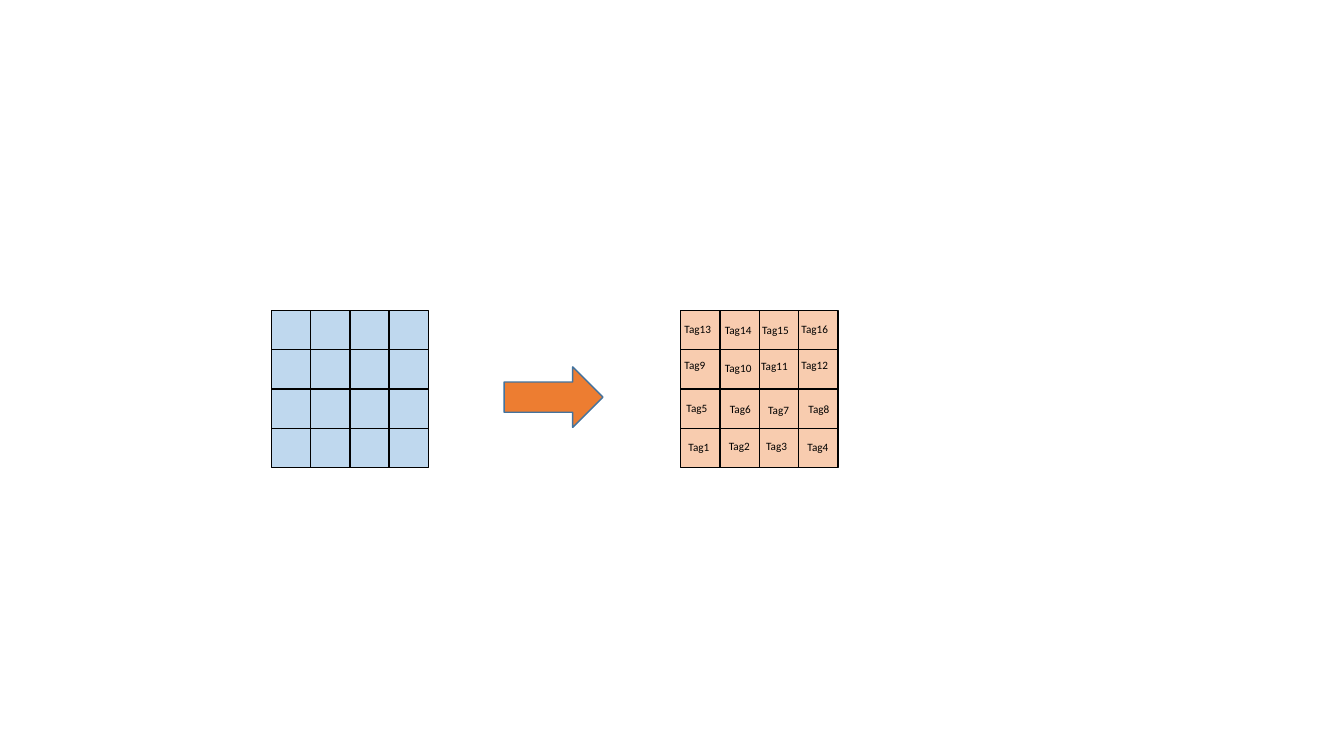
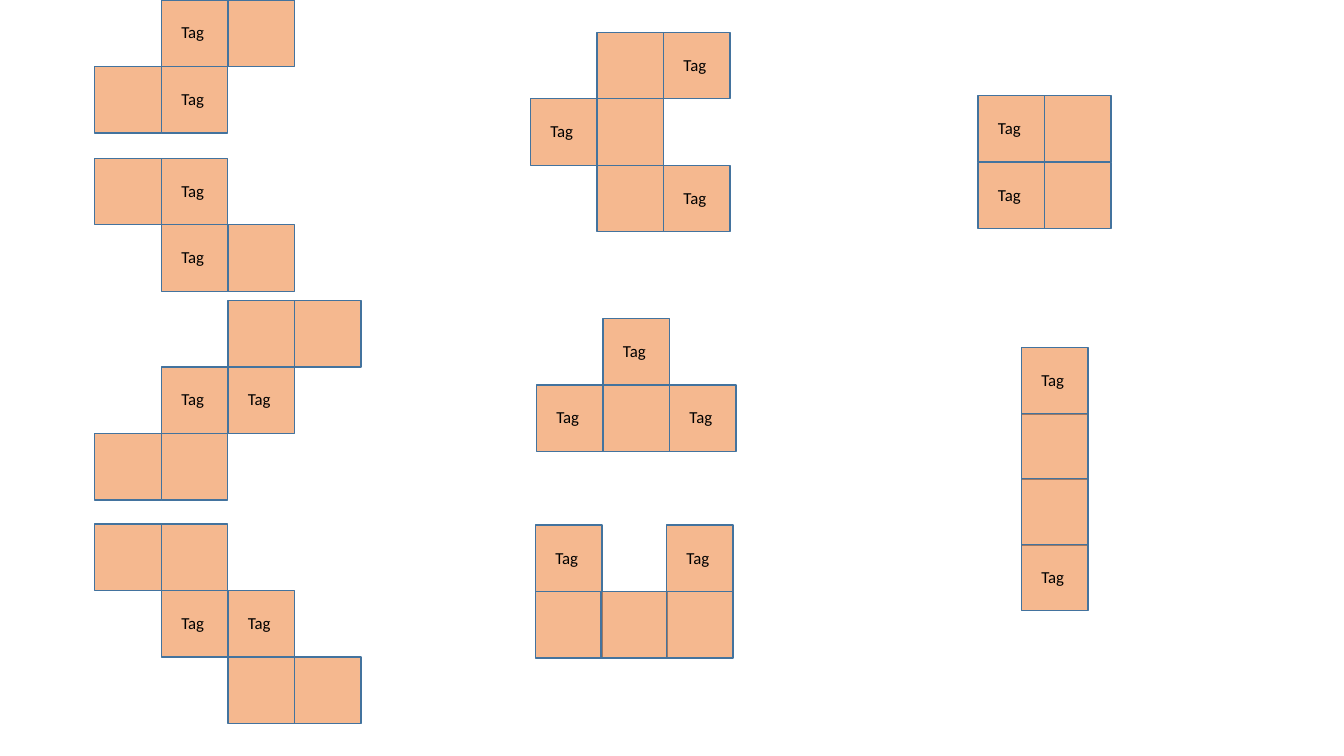
from dataclasses import dataclass

from lxml import etree
from pptx import Presentation
from pptx.dml.color import RGBColor
from pptx.enum.shapes import MSO_SHAPE
from pptx.enum.text import MSO_AUTO_SIZE, PP_ALIGN
from pptx.oxml.ns import qn
from pptx.util import Inches, Pt

RECTANGLE = MSO_SHAPE.RECTANGLE
RIGHT_ARROW = MSO_SHAPE.RIGHT_ARROW
FIT_TEXT = MSO_AUTO_SIZE.SHAPE_TO_FIT_TEXT
LEFT = PP_ALIGN.LEFT

FONT = "Calibri"
BLACK = "000000"
BLUE = "5B9BD5"
ORANGE = "ED7D31"
OUTLINE = "43739E"

GRID_SIZE = 4
GRID_CELL = 0.39
GRID_TOP = 3.08
BLUE_GRID_LEFT = 2.69
TAG_GRID_LEFT = 6.75
GRID_OPACITY = 39
TILE = 0.66
TILE_OPACITY = 54


@dataclass(frozen=True)
class Box:
    left: float
    top: float
    width: float
    height: float


@dataclass(frozen=True)
class Piece:
    left: float
    top: float
    rows: tuple[str, ...]
    column_step: float = TILE
    row_step: float = TILE


TAG_POSITIONS = (
    (6.73, 4.32), (7.13, 4.31), (7.50, 4.31), (7.91, 4.32),
    (6.71, 3.93), (7.14, 3.94), (7.52, 3.95), (7.92, 3.94),
    (6.69, 3.51), (7.09, 3.54), (7.45, 3.52), (7.85, 3.51),
    (6.69, 3.15), (7.09, 3.16), (7.46, 3.16), (7.85, 3.15),
)

PIECES = (
    Piece(0.94, 0, (".T#", "#T.")),
    Piece(0.94, 1.57, ("#T.", ".T#")),
    Piece(0.94, 2.98, ("..##", ".TT.", "##..")),
    Piece(0.94, 5.20, ("##..", ".TT.", "..##")),
    Piece(5.26, 0.32, (".#T", "T#.", ".#T")),
    Piece(5.32, 3.16, (".T.", "T#T")),
    Piece(5.31, 5.21, ("T.T", "###"), column_step=0.65),
    Piece(9.70, 0.95, ("T#", "T#")),
    Piece(10.13, 3.45, ("T", "#", "#", "T"), row_step=0.65),
)


def rgb(hex_code: str) -> RGBColor:
    return RGBColor.from_string(hex_code)


def add_block(shapes, box: Box, fill: str, line: str,
              opacity: int = 100, kind=RECTANGLE) -> None:
    block = shapes.add_shape(kind, Inches(box.left), Inches(box.top),
                             Inches(box.width), Inches(box.height))
    block.shadow.inherit = False
    block.fill.solid()
    block.fill.fore_color.rgb = rgb(fill)
    block.line.color.rgb = rgb(line)
    block.line.width = Pt(1)
    if opacity < 100:
        color = block.fill._xPr.find(qn("a:solidFill"))[0]
        etree.SubElement(color, qn("a:alpha"), val=str(opacity * 1000))


def add_label(shapes, text: str, box: Box, *, size: float,
              color: str = BLACK, font: str = FONT, align=LEFT) -> None:
    label = shapes.add_textbox(Inches(box.left), Inches(box.top),
                               Inches(box.width), Inches(box.height))
    frame = label.text_frame
    frame.word_wrap = False
    frame.auto_size = FIT_TEXT
    paragraph = frame.paragraphs[0]
    paragraph.alignment = align
    run = paragraph.add_run()
    run.text = text
    run.font.name = font
    run.font.size = Pt(size)
    run.font.color.rgb = rgb(color)


def add_grid(shapes, left: float, fill: str) -> None:
    for row in range(GRID_SIZE):
        for column in range(GRID_SIZE):
            cell = Box(left + column * GRID_CELL, GRID_TOP + row * GRID_CELL,
                       GRID_CELL, GRID_CELL)
            add_block(shapes, cell, fill, BLACK, GRID_OPACITY)


def add_piece(shapes, piece: Piece) -> None:
    for row, marks in enumerate(piece.rows):
        for column, mark in enumerate(marks):
            if mark == ".":
                continue
            left = piece.left + column * piece.column_step
            top = piece.top + row * piece.row_step
            add_block(shapes, Box(left, top, TILE, TILE), ORANGE, OUTLINE, TILE_OPACITY)
            if mark == "T":
                add_label(shapes, "Tag", Box(left + 0.1, top + 0.17, 0.43, 0.3), size=12)


def build_tagging(slide) -> None:
    shapes = slide.shapes.add_group_shape().shapes
    add_block(shapes, Box(5, 3.64, 0.98, 0.6), ORANGE, OUTLINE, kind=RIGHT_ARROW)
    add_grid(shapes, BLUE_GRID_LEFT, BLUE)
    add_grid(shapes, TAG_GRID_LEFT, ORANGE)
    for number, (left, top) in enumerate(TAG_POSITIONS, start=1):
        width = 0.42 if number < 10 else 0.48
        add_label(shapes, f"Tag{number}", Box(left, top, width, 0.24), size=8)


def build_pieces(slide) -> None:
    for piece in PIECES:
        add_piece(slide.shapes, piece)


def main() -> None:
    deck = Presentation()
    deck.slide_width = Inches(13.33)
    deck.slide_height = Inches(7.5)
    blank = deck.slide_layouts[6]
    for build in (build_tagging, build_pieces):
        build(deck.slides.add_slide(blank))
    deck.save("out.pptx")


if __name__ == "__main__":
    main()
